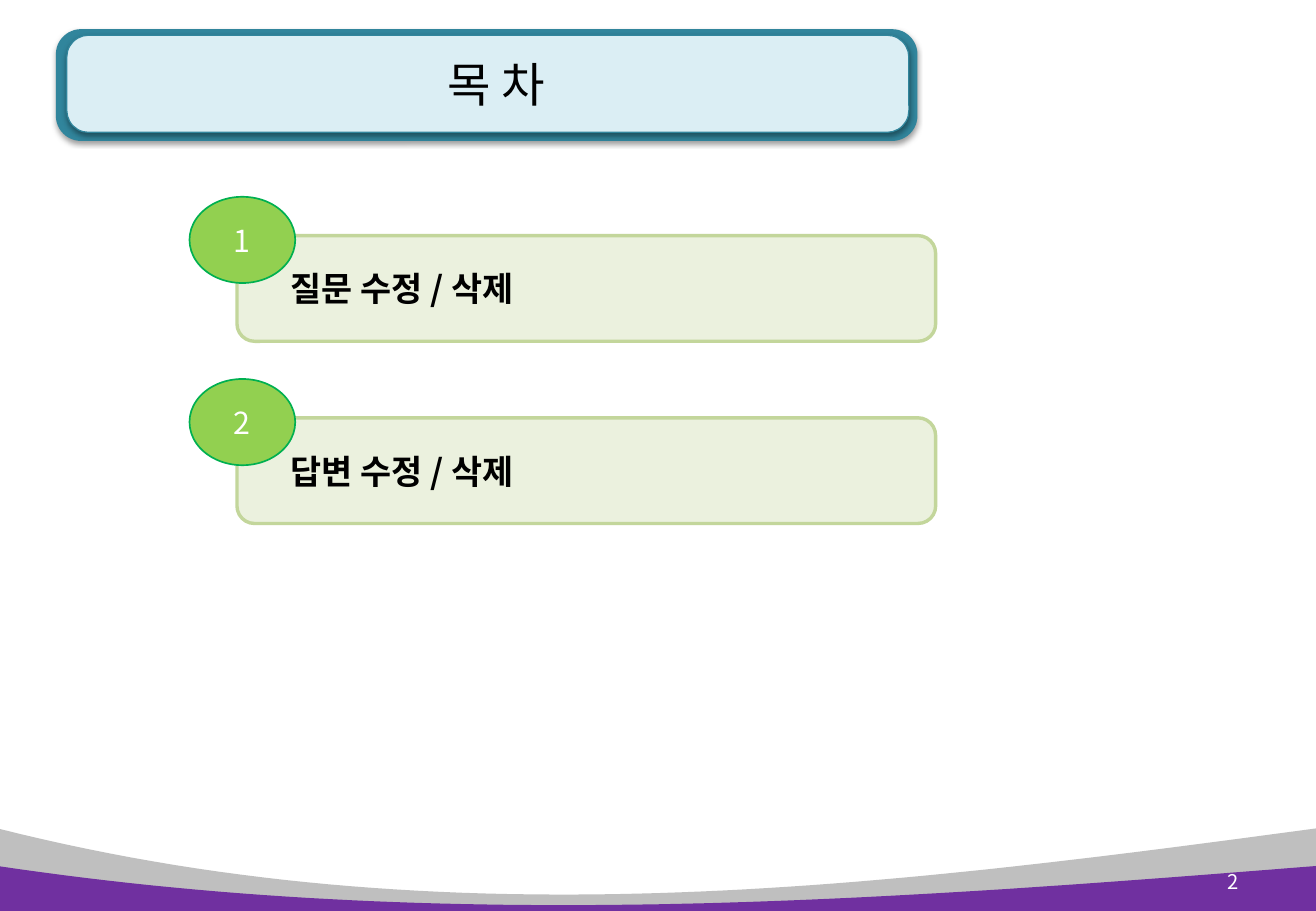
import pptx
import pptx.util
import pptx.dml.color
import pptx.enum.shapes
import pptx.enum.text
import pptx.oxml
import pptx.oxml.ns

Inches = pptx.util.Inches
Pt = pptx.util.Pt
RGBColor = pptx.dml.color.RGBColor
Shape = pptx.enum.shapes.MSO_SHAPE
Align = pptx.enum.text.PP_ALIGN

FONT = "Noto Sans CJK KR"
BLACK = RGBColor(0x00, 0x00, 0x00)
WHITE = RGBColor(0xFF, 0xFF, 0xFF)
GRAY = RGBColor(0xBF, 0xBF, 0xBF)
PURPLE = RGBColor(0x70, 0x30, 0xA0)
TEAL = RGBColor(0x31, 0x85, 0x9C)
PALE_BLUE = RGBColor(0xDB, 0xEE, 0xF4)
PALE_GREEN = RGBColor(0xEB, 0xF1, 0xDE)
SAGE = RGBColor(0xC3, 0xD6, 0x9B)
LIME = RGBColor(0x92, 0xD0, 0x50)
GREEN = RGBColor(0x00, 0xB0, 0x50)
SHADOW = (
    '<a:effectLst xmlns:a="http://schemas.openxmlformats.org/drawingml/2006/main">'
    '<a:outerShdw blurRad="39370" dist="20320" dir="5400000" rotWithShape="0">'
    '<a:srgbClr val="000000"><a:alpha val="38000"/></a:srgbClr>'
    '</a:outerShdw></a:effectLst>'
)


def paint(shape, fill, line=None, width=0):
    shape.shadow.inherit = False
    shape.fill.solid()
    shape.fill.fore_color.rgb = fill
    if line is None:
        shape.line.fill.background()
    else:
        shape.line.color.rgb = line
        shape.line.width = Pt(width)


def write(shape, text, size, color, align, bold=False):
    frame = shape.text_frame
    frame.word_wrap = True
    frame.vertical_anchor = pptx.enum.text.MSO_ANCHOR.MIDDLE
    frame.text = text
    frame.paragraphs[0].alignment = align
    run = frame.paragraphs[0].runs[0]
    run.font.name = FONT
    run.font.size = Pt(size)
    run.font.bold = bold
    run.font.color.rgb = color
    east_asian = pptx.oxml.parse_xml(
        '<a:ea xmlns:a="http://schemas.openxmlformats.org/drawingml/2006/main" '
        f'typeface="{FONT}"/>'
    )
    run.font._element.find(pptx.oxml.ns.qn("a:latin")).addnext(east_asian)


deck = pptx.Presentation()
deck.slide_width = Inches(10.83)
deck.slide_height = Inches(7.5)
slide = deck.slides.add_slide(deck.slide_layouts[6])
shapes = slide.shapes

wave_xs = (-0.02, 3.65, 7.2, 10.83)
waves = [
    ((6.82, 7.75, 7.31, 6.82), 7.5, GRAY),
    ((7.13, 7.68, 7.42, 7.13), 7.53, PURPLE),
]
steps = 60
for wave_ys, bottom, color in waves:
    curve = []
    for step in range(steps + 1):
        t = step / steps
        weights = ((1 - t) ** 3, 3 * t * (1 - t) ** 2, 3 * t * t * (1 - t), t ** 3)
        x = sum(w * v for w, v in zip(weights, wave_xs))
        y = sum(w * v for w, v in zip(weights, wave_ys))
        curve.append((Inches(x), Inches(y)))
    outline = shapes.build_freeform(*curve[0])
    corners = [(Inches(wave_xs[3]), Inches(bottom)), (Inches(wave_xs[0]), Inches(bottom))]
    outline.add_line_segments(curve[1:] + corners, close=True)
    paint(outline.convert_to_shape(), color)

title_plates = [
    (0.46, 0.24, 7.09, 0.92, TEAL, None),
    (0.55, 0.29, 6.93, 0.8, PALE_BLUE, TEAL),
]
for left, top, width, height, fill, line in title_plates:
    plate = shapes.add_shape(
        Shape.ROUNDED_RECTANGLE, Inches(left), Inches(top), Inches(width), Inches(height)
    )
    plate.adjustments[0] = 0.225
    paint(plate, fill, line, 0.75)
    properties = plate._element.spPr
    effects = properties.find(pptx.oxml.ns.qn("a:effectLst"))
    properties.replace(effects, pptx.oxml.parse_xml(SHADOW))

title = shapes.add_textbox(Inches(0.69), Inches(0.22), Inches(6.78), Inches(0.94))
write(title, "목 차", 28, BLACK, Align.CENTER)

page_number = shapes.add_textbox(Inches(9.68), Inches(7.06), Inches(0.61), Inches(0.4))
write(page_number, "2", 12, WHITE, Align.RIGHT)

topics = ["질문 수정 / 삭제", "답변 수정 / 삭제"]
for index, topic in enumerate(topics):
    top = 1.62 + 1.5 * index
    bar = shapes.add_shape(
        Shape.ROUNDED_RECTANGLE, Inches(1.95), Inches(top + 0.32), Inches(5.75), Inches(0.87)
    )
    paint(bar, PALE_GREEN, SAGE, 2)
    write(bar, topic, 20, BLACK, Align.LEFT, bold=True)
    bar.text_frame.margin_left = Inches(0.4)

    badge = shapes.add_shape(
        Shape.OVAL, Inches(1.56), Inches(top), Inches(0.87), Inches(0.71)
    )
    paint(badge, LIME, GREEN, 1)
    write(badge, str(index + 1), 18, WHITE, Align.CENTER)

deck.save("out.pptx")
